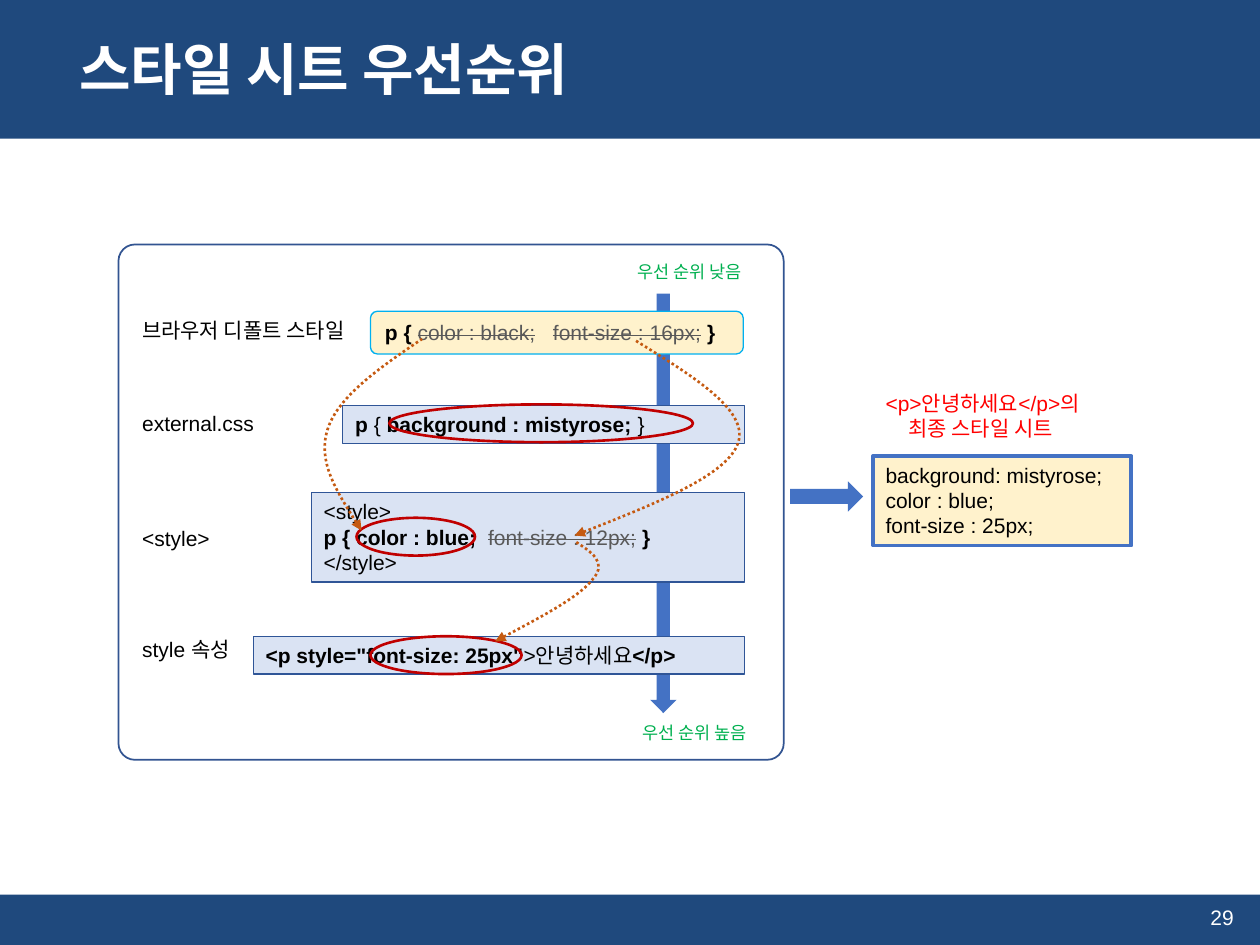
from dataclasses import dataclass
from typing import Optional

from lxml import etree
from pptx import Presentation
from pptx.dml.color import RGBColor
from pptx.enum import dml, shapes, text
from pptx.oxml import ns
from pptx.util import Inches, Pt

NAVY, BLUE, PALE, CREAM = "1F497D", "4472C4", "DAE3F3", "FFF2CC"
BLACK, WHITE, GREY, RED, GREEN = "000000", "FFFFFF", "595959", "FF0000", "00B050"
EDGE, CRIMSON, ORANGE = "2F5597", "C00000", "C55A11"
KIND = shapes.MSO_SHAPE
STYLES = {
    "plain": {},
    "bold": {"bold": True},
    "struck": {"strike": True},
}


@dataclass
class Figure:
    kind: int
    at: tuple
    fill: Optional[str] = None
    line: Optional[str] = None
    weight: float = 0.75
    lines: tuple = ()  # one entry a paragraph: a string or (wording, style) pairs
    rounding: Optional[float] = None


@dataclass
class Label:
    at: tuple
    lines: tuple
    size: float = 12
    color: str = BLACK
    bold: bool = False
    wrap: bool = False
    middle: bool = False
    align: int = text.PP_ALIGN.LEFT
    spacing: Optional[float] = None
    last_indent: float = 0


@dataclass
class Override:
    at: tuple
    points: tuple  # start, then three points for each curve


def rgb(value: str) -> RGBColor:
    return RGBColor.from_string(value)


def paint(shape, fill: Optional[str], line: Optional[str], weight: float) -> None:
    shape.shadow.inherit = False
    if fill:
        shape.fill.solid()
        shape.fill.fore_color.rgb = rgb(fill)
    else:
        shape.fill.background()
    if line:
        shape.line.color.rgb = rgb(line)
        shape.line.width = Pt(weight)
    else:
        shape.line.fill.background()


def write(frame, lines: tuple, size: float = 12, color: str = BLACK,
          bold: bool = False, align: int = text.PP_ALIGN.LEFT) -> None:
    for index, line in enumerate(lines):
        para = frame.paragraphs[0] if index == 0 else frame.add_paragraph()
        para.alignment = align
        for wording, style in [(line, "plain")] if isinstance(line, str) else line:
            span = para.add_run()
            span.text = wording
            look = {"name": "Arial", "size": Pt(size), "bold": bold} | STYLES[style]
            struck = look.pop("strike", False)
            for name, value in look.items():
                setattr(span.font, name, value)
            span.font.color.rgb = rgb(GREY if struck else color)
            if struck:
                span.font._element.set("strike", "sngStrike")


def draw_figure(page, item: Figure) -> None:
    shape = page.shapes.add_shape(item.kind, *map(Inches, item.at))
    paint(shape, item.fill, item.line, item.weight)
    if item.rounding is not None:
        shape.adjustments[0] = item.rounding
    if item.lines:
        shape.text_frame.vertical_anchor = text.MSO_ANCHOR.TOP
        shape.text_frame.auto_size = text.MSO_AUTO_SIZE.SHAPE_TO_FIT_TEXT
        write(shape.text_frame, item.lines)


def draw_label(page, item: Label) -> None:
    frame = page.shapes.add_textbox(*map(Inches, item.at)).text_frame
    frame.word_wrap = item.wrap
    frame.vertical_anchor = text.MSO_ANCHOR.MIDDLE if item.middle else text.MSO_ANCHOR.TOP
    write(frame, item.lines, item.size, item.color, item.bold, item.align)
    if item.spacing:
        frame.paragraphs[0].line_spacing = item.spacing
    if item.last_indent:
        properties = frame.paragraphs[-1]._p.get_or_add_pPr()
        properties.set("marL", str(Inches(item.last_indent)))


def draw_override(page, item: Override) -> None:
    left, top, width, height = map(Inches, item.at)
    builder = page.shapes.build_freeform(left, top)
    builder.add_line_segments([(left + width, top + height)], close=False)
    shape = builder.convert_to_shape()
    paint(shape, None, ORANGE, 1.5)
    shape.line.dash_style = dml.MSO_LINE.ROUND_DOT

    # Bend the outline and put the arrowhead at its start
    route = shape._element.find(".//" + ns.qn("a:path"))
    for child in list(route):
        route.remove(child)
    route.set("fill", "none")
    for index, (x, y) in enumerate(item.points):
        if index == 0:
            step = etree.SubElement(route, ns.qn("a:moveTo"))
        elif index % 3 == 1:
            step = etree.SubElement(route, ns.qn("a:cubicBezTo"))
        etree.SubElement(step, ns.qn("a:pt"), x=str(Inches(x) - left), y=str(Inches(y) - top))
    etree.SubElement(shape.line._get_or_add_ln(), ns.qn("a:headEnd"), type="triangle")


deck = Presentation()
deck.slide_width, deck.slide_height = Inches(10), Inches(7.5)
page = deck.slides.add_slide(deck.slide_layouts[6])

figures = [
    # Header and footer bands
    Figure(KIND.RECTANGLE, (0, 0, 10, 1.1), NAVY),
    Figure(KIND.RECTANGLE, (0, 7.1, 10, 0.4), NAVY),
    # Priority axis and the style sources along it
    Figure(KIND.DOWN_ARROW, (5.16, 2.33, 0.21, 3.33), BLUE),
    Figure(KIND.RECTANGLE, (2.47, 3.91, 3.44, 0.71), PALE, EDGE, lines=(
        "<style>",
        [("p { color : blue;  ", "bold"), ("font-size : 12px;", "struck"),
         (" ", "plain"), ("}", "bold")],
        "</style>")),
    Figure(KIND.ROUNDED_RECTANGLE, (2.94, 2.47, 2.96, 0.34), CREAM, "00B0F0", lines=(
        [("p { ", "bold"), ("color : black;", "struck"), ("   ", "plain"),
         ("font-size : 16px;", "struck"), (" ", "plain"), ("}", "bold")],)),
    Figure(KIND.RECTANGLE, (2.72, 3.22, 3.19, 0.3), PALE, EDGE, lines=(
        [("p", "bold"), (" { ", "plain"), ("background : mistyrose; ", "bold"),
         ("}", "plain")],)),
    Figure(KIND.RECTANGLE, (2.01, 5.05, 3.9, 0.3), PALE, EDGE, lines=(
        [('<p style="font-size: 25px"', "bold"), (">안녕하세요", "plain"),
         ("</p>", "bold")],)),
    # Winning declarations
    Figure(KIND.OVAL, (2.94, 5.05, 1.2, 0.3), None, CRIMSON, 1.5),
    Figure(KIND.OVAL, (2.83, 4.11, 0.94, 0.3), None, CRIMSON, 1.5),
    Figure(KIND.OVAL, (3.09, 3.21, 2.41, 0.3), None, CRIMSON, 1.5),
    # Frame and result
    Figure(KIND.ROUNDED_RECTANGLE, (0.94, 1.94, 5.28, 4.09), None, "325491", 1,
           rounding=0.032),
    Figure(KIND.RIGHT_ARROW, (6.27, 3.82, 0.58, 0.24), BLUE),
    Figure(KIND.RECTANGLE, (6.93, 3.62, 2.05, 0.71), CREAM, BLUE, 2.25, lines=(
        "background: mistyrose;", "color : blue;", "font-size : 25px;")),
]

labels = [
    Label((0.53, 0.12, 8.62, 0.91), ("스타일 시트 우선순위",), 32, WHITE, bold=True,
          wrap=True, middle=True, spacing=0.9),
    Label((7.64, 7.08, 2.25, 0.4), ("29",), 12, WHITE, wrap=True, middle=True,
          align=text.PP_ALIGN.RIGHT),
    Label((1.03, 2.47, 1.87, 0.3), ("브라우저 디폴트 스타일",)),
    Label((1.03, 3.21, 1.1, 0.3), ("external.css",)),
    Label((1.03, 4.12, 0.74, 0.3), ("<style>",)),
    Label((1.03, 5, 0.91, 0.3), ("style 속성",), wrap=True),
    Label((4.96, 2.02, 1.07, 0.27), ("우선 순위 낮음",), 10, GREEN),
    Label((5, 5.68, 1.07, 0.27), ("우선 순위 높음",), 10, GREEN),
    Label((6.93, 3.05, 2.13, 0.5), ("<p>안녕하세요</p>의", "최종 스타일 시트"),
          color=RED, wrap=True, last_indent=0.18),
]

overrides = [
    Override((2.58, 2.69, 0.77, 1.52), (
        (2.87, 4.21), (2.69, 3.93), (2.52, 3.66), (2.6, 3.41),
        (2.68, 3.15), (3.01, 2.92), (3.35, 2.69))),
    Override((3.93, 4.3, 0.82, 0.79), (
        (3.93, 5.09), (4.27, 4.91), (4.61, 4.73), (4.71, 4.59),
        (4.82, 4.46), (4.69, 4.38), (4.57, 4.3))),
    Override((4.56, 2.7, 1.31, 1.55), (
        (4.56, 4.25), (5.17, 4.01), (5.78, 3.77), (5.86, 3.51),
        (5.94, 3.25), (5.49, 2.98), (5.04, 2.7))),
]

for draw, items in ((draw_figure, figures), (draw_label, labels), (draw_override, overrides)):
    for item in items:
        draw(page, item)

deck.save("out.pptx")
